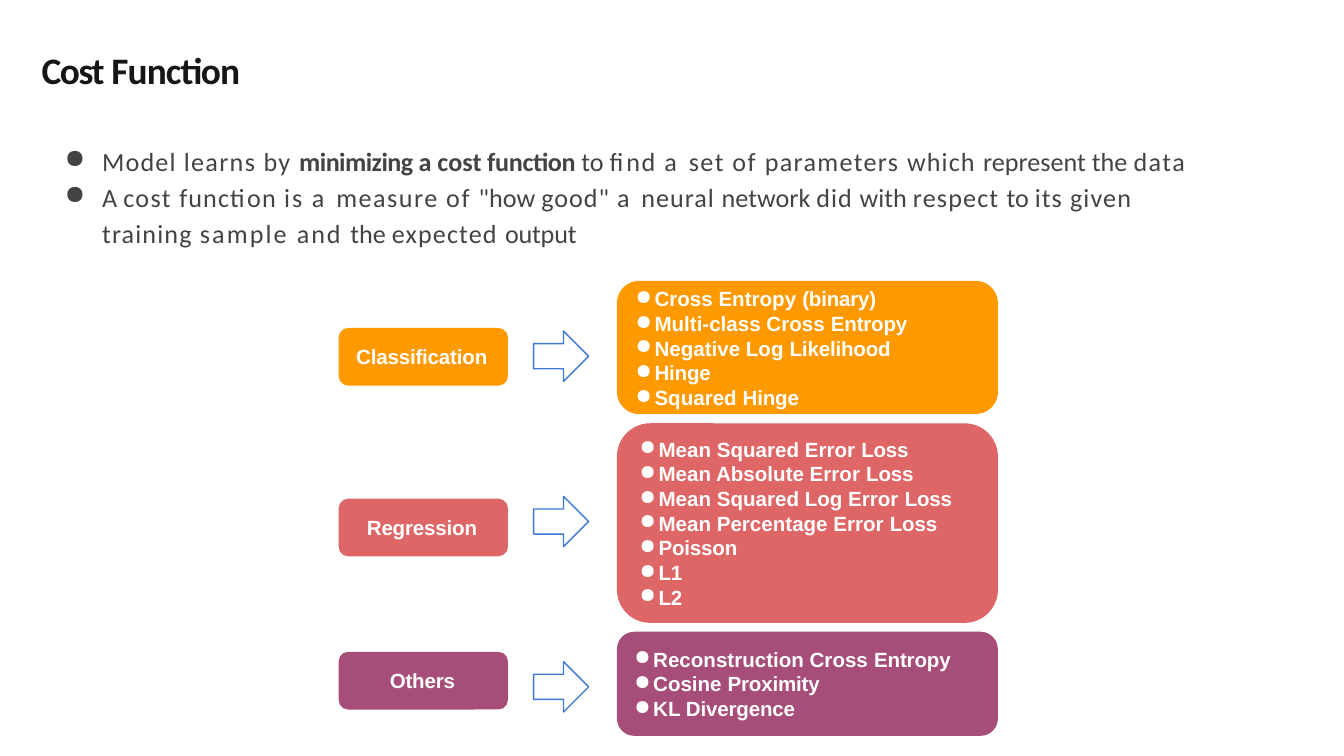
"""Build the Cost Function slide, with loss functions grouped by type of task."""
import pptx
import pptx.dml.color
import pptx.enum.shapes
import pptx.enum.text
import pptx.oxml.ns
import pptx.util
from lxml import etree

RGBColor = pptx.dml.color.RGBColor
SHAPES = pptx.enum.shapes.MSO_SHAPE
INK = RGBColor(0x17, 0x16, 0x16)
GREY = RGBColor(0x43, 0x43, 0x43)
WHITE = RGBColor(0xFF, 0xFF, 0xFF)
ORANGE = RGBColor(0xFF, 0x99, 0x00)
CORAL = RGBColor(0xDF, 0x66, 0x66)
PLUM = RGBColor(0xA6, 0x4D, 0x79)
BLUE = RGBColor(0x3B, 0x78, 0xD7)

HEADING = {"name": "Calibri", "size": pptx.util.Pt(20), "bold": True}
BODY = {"name": "Calibri", "size": pptx.util.Pt(14), "bold": False}
CARD = {"name": "Arial", "size": pptx.util.Pt(11), "bold": True}

deck = pptx.Presentation()
deck.slide_width = pptx.util.Inches(10)
deck.slide_height = pptx.util.Inches(5.625)
column = deck.slide_width / 100
row = deck.slide_height / 100
slide = deck.slides.add_slide(deck.slide_layouts[6])


def add_text(place, paragraphs, style, color, top_inset=0.02, hanging=None):
    left, top, width, height = place
    box = slide.shapes.add_textbox(
        int(left * column), int(top * row), int(width * column), int(height * row))
    frame_format = {
        "margin_left": 0, "margin_right": 0, "margin_bottom": 0,
        "margin_top": pptx.util.Inches(top_inset), "word_wrap": True,
        "auto_size": pptx.enum.text.MSO_AUTO_SIZE.SHAPE_TO_FIT_TEXT,
    }
    for attribute, value in frame_format.items():
        setattr(box.text_frame, attribute, value)
    for index, runs in enumerate(paragraphs):
        paragraph = box.text_frame.add_paragraph() if index else box.text_frame.paragraphs[0]
        properties = paragraph._p.get_or_add_pPr()
        properties.set("marL", str(pptx.util.Inches(hanging or 0.01)))
        if hanging:
            properties.set("indent", str(pptx.util.Inches(0.01 - hanging)))
            bullet = etree.SubElement(properties, pptx.oxml.ns.qn("a:buChar"))
            bullet.set("char", "●")
        for words, tracking, *emphasis in runs:
            run = paragraph.add_run()
            run.text = words
            for attribute, value in style.items():
                setattr(run.font, attribute, value)
            if emphasis:
                run.font.bold = True
            run.font.color.rgb = color
            run._r.get_or_add_rPr().set("spc", str(round(tracking * 100)))
    return box


def add_block(preset, place, fill, outline=None):
    left, top, width, height = place
    block = slide.shapes.add_shape(
        preset, int(left * column), int(top * row), int(width * column), int(height * row))
    block.shadow.inherit = False
    block.fill.solid()
    block.fill.fore_color.rgb = fill
    if outline is None:
        block.line.fill.background()
    else:
        block.line.color.rgb = outline
        block.line.width = pptx.util.Pt(0.75)


add_text((3, 5.87, 17.6, 6.4), [[("Cost ", -0.8), ("Function", -0.5)]], HEADING, INK)

learning = [
    ("Model ", 0.6), ("learns by ", 0.7), ("minimizing ", -0.3, "strong"),
    ("a cost", 0, "strong"), (" function ", -0.2, "strong"), ("to ", 0),
    ("find ", 0.8), ("a ", 1.6), ("set of ", 0.8), ("parameters ", 0.7),
    ("which ", 0.6), ("represent the ", 0), ("data", 0.8),
]
definition = [
    ("A ", 0), ("cost ", 0.7), ("function ", 0.6), ("is ", 1), ("a ", 1.6),
    ("measure of ", 0.8), ('"how ', 0), ('good" ', 0.5), ("a ", 1.6),
    ("neural ", 0.5), ("network ", 0), ("did ", 0.5), ("with ", 0),
    ("respect ", 0.6), ("to ", 0), ("its given training ", 0.6),
    ("sample ", 1.1), ("and ", 1), ("the ", 0), ("expected ", 0.6), ("output", -0.1),
]
explanation = add_text((4.7, 18.31, 85.8, 14.76), [learning, definition],
                       BODY, GREY, top_inset=0.05, hanging=0.29)
explanation.text_frame.paragraphs[1].line_spacing = 1.15

tasks = [
    ("Classification", ORANGE, 43.38, (26.4, 10.2), (37.16, 17.6), (47.2, 37.51, 20.5, 16.89),
     ["Cross Entropy (binary)", "Multi-class Cross Entropy", "Negative Log Likelihood",
      "Hinge", "Squared Hinge"]),
    ("Regression", CORAL, 65.96, (27.2, 8.6), (56, 26.4), (47.5, 57.42, 23.5, 23.29),
     ["Mean Squared Error Loss", "Mean Absolute Error Loss", "Mean Squared Log Error Loss",
      "Mean Percentage Error Loss", "Poisson", "L1", "L2"]),
    ("Others", PLUM, 86.22, (28.9, 5.2), (83.56, 13.78), (47.1, 85.16, 23.8, 10.31),
     ["Reconstruction Cross Entropy", "Cosine Proximity", "KL Divergence"]),
]
for index, (task, color, task_top, (name_left, name_width), (panel_top, panel_height),
            losses_place, losses) in enumerate(tasks):
    add_block(SHAPES.ROUNDED_RECTANGLE, (25.2, task_top, 12.6, 7.64), color)
    add_text((name_left, task_top + 1.78, name_width, 3.73), [[(task, -0.1)]], CARD, WHITE)
    add_block(SHAPES.RIGHT_ARROW, (39.7, 43.8 + 21.87 * index, 4.1, 6.65), WHITE, BLUE)
    add_block(SHAPES.ROUNDED_RECTANGLE, (45.9, panel_top, 28.35, panel_height), color)
    loss_runs = []
    for loss in losses:
        *opening, ending = loss.rsplit(" ", 1)
        loss_runs.append([(words + " ", 0) for words in opening] + [(ending, -0.1)])
    add_text(losses_place, loss_runs, CARD, WHITE, hanging=0.15)

deck.save("out.pptx")
